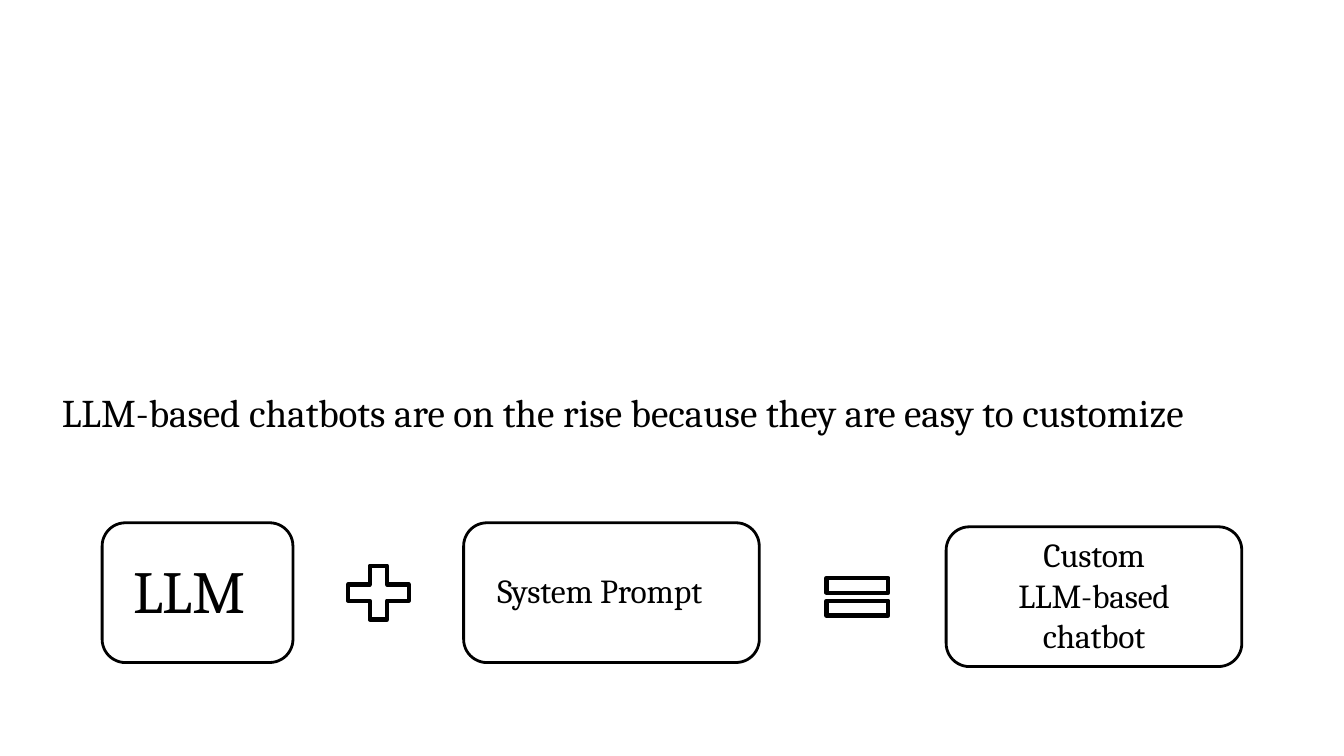
from typing import NamedTuple

from pptx import Presentation
from pptx.dml.color import RGBColor
from pptx.enum.shapes import MSO_SHAPE
from pptx.enum.text import PP_ALIGN
from pptx.util import Emu, Pt

PX = 9144  # EMU per px, 100 px to the inch
SLIDE_WIDTH = 1000 * PX
SLIDE_HEIGHT = SLIDE_WIDTH * 9 // 16
ROUNDED = MSO_SHAPE.ROUNDED_RECTANGLE
LEFT, CENTER = PP_ALIGN.LEFT, PP_ALIGN.CENTER
BLACK = "000000"
FONT = "Cambria"
CARD_HEIGHT = 104

Contour = list[tuple[int, int]]


class Bounds(NamedTuple):
    left: int
    top: int
    width: int
    height: int


class Label(NamedTuple):
    text: str
    bounds: Bounds
    size: int
    tracking: int = 0  # hundredths of a point
    align: PP_ALIGN = LEFT
    line_spacing: float = 1.0


class Card(NamedTuple):
    bounds: Bounds
    label: Label


HEADLINE = Label(
    "LLM-based chatbots are on the rise because they are easy to customize",
    Bounds(45, 288, 908, 38), 21)

CARDS = [
    Card(Bounds(345, 389, 220, CARD_HEIGHT),
         Label("System Prompt", Bounds(369, 423, 172, 33), 18, -5)),
    Card(Bounds(76, 389, 142, CARD_HEIGHT),
         Label("LLM", Bounds(98, 411, 98, 56), 32, -20)),
    Card(Bounds(704, 392, 220, CARD_HEIGHT),
         Label("Custom LLM-based chatbot", Bounds(749, 396, 129, 93), 18, -10,
               CENTER, 1.01)),
]

PLUS = [[(259, 435), (275, 435), (275, 421), (288, 421), (288, 435),
         (304, 435), (304, 447), (288, 447), (288, 461), (275, 461),
         (275, 447), (259, 447)]]
EQUALS = [[(615, top), (661, top), (661, top + 11), (615, top + 11)]
          for top in (430, 447)]


def rgb(value: str) -> RGBColor:
    return RGBColor.from_string(value)


def scaled(bounds: Bounds) -> list[Emu]:
    return [Emu(length * PX) for length in bounds]


def set_outline(shape, width: float) -> None:
    shape.shadow.inherit = False
    shape.fill.background()
    shape.line.color.rgb = rgb(BLACK)
    shape.line.width = Pt(width)


def add_label(slide, label: Label) -> None:
    frame = slide.shapes.add_textbox(*scaled(label.bounds)).text_frame
    frame.word_wrap = True
    frame.margin_left = frame.margin_right = frame.margin_bottom = 0
    frame.margin_top = Emu(PX)
    frame.text = label.text
    paragraph = frame.paragraphs[0]
    paragraph.alignment = label.align
    paragraph.line_spacing = label.line_spacing
    paragraph.space_before = Pt(1)
    paragraph._p.get_or_add_pPr().set("marL", str(PX))
    for run in paragraph.runs:
        run.font.name = FONT
        run.font.size = Pt(label.size)
        run.font.color.rgb = rgb(BLACK)
        run._r.get_or_add_rPr().set("spc", str(label.tracking))


def add_card(slide, card: Card) -> None:
    set_outline(slide.shapes.add_shape(ROUNDED, *scaled(card.bounds)), 1.5)
    add_label(slide, card.label)


def add_operator(slide, contours: list[Contour]) -> None:
    """Draw all closed contours as one outlined shape."""
    first, *others = contours
    builder = slide.shapes.build_freeform(*first[0], scale=PX)
    builder.add_line_segments(first[1:], close=True)
    for contour in others:
        builder.move_to(*contour[0])
        builder.add_line_segments(contour[1:], close=True)
    set_outline(builder.convert_to_shape(), 2.25)


def main() -> None:
    presentation = Presentation()
    presentation.slide_width = Emu(SLIDE_WIDTH)
    presentation.slide_height = Emu(SLIDE_HEIGHT)
    slide = presentation.slides.add_slide(presentation.slide_layouts[6])

    add_label(slide, HEADLINE)
    for card in CARDS:
        add_card(slide, card)
    for operator in (PLUS, EQUALS):
        add_operator(slide, operator)

    presentation.save("out.pptx")


if __name__ == "__main__":
    main()
